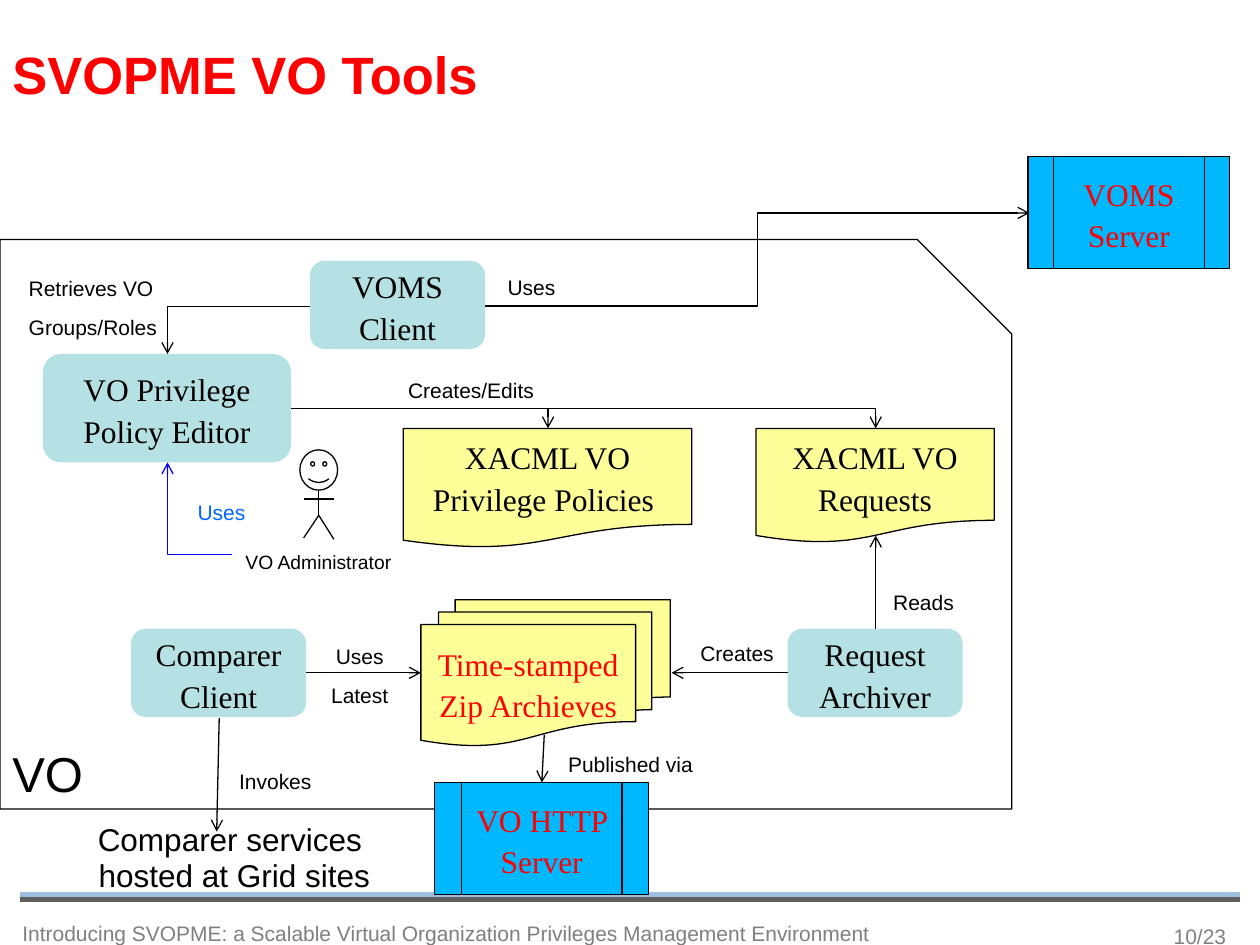
"""Build the SVOPME VO Tools slide."""
from dataclasses import dataclass
from typing import Any

from lxml.etree import SubElement
from pptx import Presentation
from pptx.dml.color import RGBColor
from pptx.enum.shapes import MSO_CONNECTOR, MSO_SHAPE
from pptx.enum.text import MSO_ANCHOR, MSO_AUTO_SIZE, PP_ALIGN
from pptx.oxml.ns import qn
from pptx.util import Inches, Pt

BLACK = RGBColor(0x00, 0x00, 0x00)
RED = RGBColor(0xFF, 0x00, 0x00)
BLUE = RGBColor(0x00, 0x00, 0xFF)
LABEL_BLUE = RGBColor(0x00, 0x66, 0xFF)
TOOL_TEAL = RGBColor(0xB6, 0xE1, 0xE4)
DOCUMENT_YELLOW = RGBColor(0xFF, 0xFF, 0x99)
SERVER_CYAN = RGBColor(0x00, 0xB8, 0xFF)
RULE_BLUE = RGBColor(0x9D, 0xBE, 0xDF)
RULE_GRAY = RGBColor(0x5F, 0x5F, 0x5F)
PAGE_GRAY = RGBColor(0x80, 0x80, 0x80)
FOOTER_GRAY = RGBColor(0x7F, 0x7F, 0x7F)


@dataclass(frozen=True)
class Style:
    """Character and paragraph look."""
    size: float = 12
    color: RGBColor = BLACK
    font: str = "Arial"
    bold: bool = False
    align: PP_ALIGN = PP_ALIGN.LEFT
    spacing: float = 1.54


NODE_TEXT = Style(18, font="Times New Roman", align=PP_ALIGN.CENTER, spacing=1.1)
RED_NODE_TEXT = Style(18, RED, "Times New Roman", align=PP_ALIGN.CENTER, spacing=1.1)


@dataclass(frozen=True)
class Kind:
    """Look shared by one family of nodes."""
    preset: MSO_SHAPE
    fill: RGBColor
    style: Style = NODE_TEXT
    outlined: bool = True
    anchor: MSO_ANCHOR = MSO_ANCHOR.MIDDLE


TOOL = Kind(MSO_SHAPE.ROUNDED_RECTANGLE, TOOL_TEAL, outlined=False)
DOCUMENT = Kind(MSO_SHAPE.FLOWCHART_DOCUMENT, DOCUMENT_YELLOW, anchor=MSO_ANCHOR.TOP)
ARCHIVE = Kind(MSO_SHAPE.FLOWCHART_MULTIDOCUMENT, DOCUMENT_YELLOW, RED_NODE_TEXT)
SERVER = Kind(MSO_SHAPE.FLOWCHART_PREDEFINED_PROCESS, SERVER_CYAN, RED_NODE_TEXT)


@dataclass(frozen=True)
class Node:
    """A filled shape of the diagram."""
    text: str
    kind: Kind
    left: float
    top: float
    width: float
    height: float


@dataclass(frozen=True)
class Label:
    """A free-standing text."""
    text: str
    left: float
    top: float
    width: float
    height: float = 0.41
    style: Style = Style()
    wrap: bool = False
    anchor: MSO_ANCHOR = MSO_ANCHOR.TOP


@dataclass(frozen=True)
class Link:
    """A line between two points."""
    start: tuple[float, float]
    end: tuple[float, float]
    preset: str = "line"
    color: RGBColor = BLACK
    weight: float = 0.75
    arrow: bool = True


NODES = [
    Node("VO Privilege Policy Editor", TOOL, 0.34, 2.81, 1.97, 0.86),
    Node("XACML VO Privilege Policies ", DOCUMENT, 3.2, 3.4, 2.29, 0.95),
    Node("XACML VO Requests", DOCUMENT, 6, 3.4, 1.89, 0.91),
    Node("VOMS Client", TOOL, 2.46, 2.07, 1.39, 0.7),
    Node("VOMS Server", SERVER, 8.16, 1.24, 1.6, 0.89),
    Node("Request Archiver", TOOL, 6.25, 4.99, 1.39, 0.7),
    Node("Comparer Client", TOOL, 1.04, 4.99, 1.39, 0.7),
    Node("Time-stamped Zip Archieves", ARCHIVE, 3.34, 4.76, 1.98, 1.16),
    Node("VO HTTP Server", SERVER, 3.45, 6.21, 1.7, 0.89),
]
RULES = [
    Link((0.16, 7.1), (9.84, 7.1), color=RULE_BLUE, weight=3, arrow=False),
    Link((0.16, 7.14), (9.84, 7.14), color=RULE_GRAY, weight=3, arrow=False),
]
LINKS = [
    Link((2.31, 3.24), (6.95, 3.4), "bentConnector2"),
    Link((2.31, 3.24), (4.35, 3.4), "bentConnector2"),
    Link((1.84, 4.4), (1.33, 3.67), "bentConnector2", BLUE),
    Link((2.46, 2.43), (1.33, 2.81), "bentConnector2"),
    Link((3.85, 2.43), (8.17, 1.69), "bentConnector3"),
    Link((6.95, 4.99), (6.95, 4.25)),
    Link((6.25, 5.34), (5.33, 5.34)),
    Link((2.43, 5.34), (3.34, 5.34)),
    Link((1.74, 5.7), (1.72, 6.6)),
    Link((4.32, 5.83), (4.3, 6.21)),
]
LIMBS = [
    Link((2.53, 4.09), (2.41, 4.27), arrow=False),
    Link((2.53, 4.09), (2.65, 4.28), arrow=False),
    Link((2.41, 3.96), (2.65, 3.96), arrow=False),
    Link((2.53, 3.89), (2.53, 4.09), arrow=False),
]
LABELS = [
    Label("10/23", 7.5, 7.17, 2.33, 0.44, Style(color=PAGE_GRAY, align=PP_ALIGN.RIGHT), True),
    Label("Introducing SVOPME: a Scalable Virtual Organization Privileges Management Environment",
          0.08, 7.15, 8.17, 0.44, Style(color=FOOTER_GRAY), True),
    Label("SVOPME VO Tools", 0, 0, 7.31, 1.14, Style(30, RED, bold=True, spacing=1.05),
          True, MSO_ANCHOR.MIDDLE),
    Label("Creates/Edits", 3.14, 2.84, 1.2),
    Label("Uses", 1.47, 3.81, 0.58, style=Style(color=LABEL_BLUE)),
    Label("Reads", 6.99, 4.52, 0.68),
    Label("Creates", 5.46, 4.93, 0.82),
    Label("Uses Latest", 2.42, 4.95, 0.87, 0.72, Style(align=PP_ALIGN.CENTER), True),
    Label("Invokes", 1.8, 5.94, 0.81),
    Label("Comparer services \nhosted at Grid sites", 0.63, 6.48, 2.46, 0.67,
          Style(18, align=PP_ALIGN.CENTER, spacing=0.95)),
    Label("Uses", 3.93, 2.02, 0.58),
    Label("Retrieves VO Groups/Roles", 0.13, 2.03, 1.27, 0.72, wrap=True),
    Label("Published via", 4.41, 5.81, 1.19),
]
ADMINISTRATOR = Label("VO Administrator", 1.85, 4.22, 1.36, 0.39, Style(11))
BOUNDARY = [(0, 1.9), (7.28, 1.9), (8.03, 2.65), (8.03, 6.42), (0, 6.42)]


def write(shape: Any, text: str, style: Style, anchor: MSO_ANCHOR, wrap: bool = True) -> None:
    """Fill the text frame of a shape run by run."""
    frame = shape.text_frame
    frame.word_wrap = wrap
    if not wrap:
        frame.auto_size = MSO_AUTO_SIZE.SHAPE_TO_FIT_TEXT
    frame.vertical_anchor = anchor
    para = frame.paragraphs[0]
    para.alignment = style.align
    para.line_spacing = style.spacing
    for index, line in enumerate(text.split("\n")):
        if index:
            para.add_line_break()
        span = para.add_run()
        span.text = line
        span.font.name = style.font
        span.font.size = Pt(style.size)
        span.font.bold = style.bold
        span.font.color.rgb = style.color


def outline(shape: Any) -> None:
    """Give a shape a thin black line and no shadow."""
    shape.shadow.inherit = False
    shape.line.color.rgb = BLACK
    shape.line.width = Pt(0.75)


def draw_node(shapes: Any, node: Node) -> None:
    """Draw a filled node with its text."""
    box = shapes.add_shape(node.kind.preset, Inches(node.left), Inches(node.top),
                           Inches(node.width), Inches(node.height))
    outline(box)
    if not node.kind.outlined:
        box.line.fill.background()
    box.fill.solid()
    box.fill.fore_color.rgb = node.kind.fill
    write(box, node.text, node.kind.style, node.kind.anchor)


def draw_label(shapes: Any, label: Label) -> None:
    """Draw a text box."""
    box = shapes.add_textbox(Inches(label.left), Inches(label.top),
                             Inches(label.width), Inches(label.height))
    write(box, label.text, label.style, label.anchor, label.wrap)


def draw_link(shapes: Any, link: Link) -> None:
    """Draw a straight or bent connector."""
    kind = MSO_CONNECTOR.STRAIGHT if link.preset == "line" else MSO_CONNECTOR.ELBOW
    connector = shapes.add_connector(kind, *map(Inches, link.start + link.end))
    connector.line.color.rgb = link.color
    connector.line.width = Pt(link.weight)
    properties = connector._element.spPr
    properties.find(qn("a:prstGeom")).set("prst", link.preset)
    if link.arrow:
        SubElement(properties.find(qn("a:ln")), qn("a:tailEnd"), type="arrow")
    SubElement(properties, qn("a:effectLst"))


def draw_boundary(shapes: Any) -> None:
    """Draw the outline of the virtual organization."""
    points = [(Inches(x), Inches(y)) for x, y in BOUNDARY]
    builder = shapes.build_freeform(*points[0])
    builder.add_line_segments(points[1:], close=True)
    boundary = builder.convert_to_shape()
    outline(boundary)
    boundary.fill.background()
    write(boundary, "VO", Style(28), MSO_ANCHOR.BOTTOM)


def draw_administrator(shapes: Any) -> None:
    """Draw the stick figure and its caption as a group."""
    figure = shapes.add_group_shape().shapes
    head = figure.add_shape(MSO_SHAPE.SMILEY_FACE, Inches(2.38), Inches(3.57),
                            Inches(0.3), Inches(0.32))
    outline(head)
    head.fill.background()
    for limb in LIMBS:
        draw_link(figure, limb)
    draw_label(figure, ADMINISTRATOR)


def main() -> None:
    """Build and save the deck."""
    deck = Presentation()
    deck.slide_width, deck.slide_height = Inches(10), Inches(7.5)
    shapes = deck.slides.add_slide(deck.slide_layouts[6]).shapes
    for rule in RULES:
        draw_link(shapes, rule)
    draw_boundary(shapes)
    for node in NODES:
        draw_node(shapes, node)
    draw_administrator(shapes)
    for link in LINKS:
        draw_link(shapes, link)
    for label in LABELS:
        draw_label(shapes, label)
    deck.save("out.pptx")


if __name__ == "__main__":
    main()
